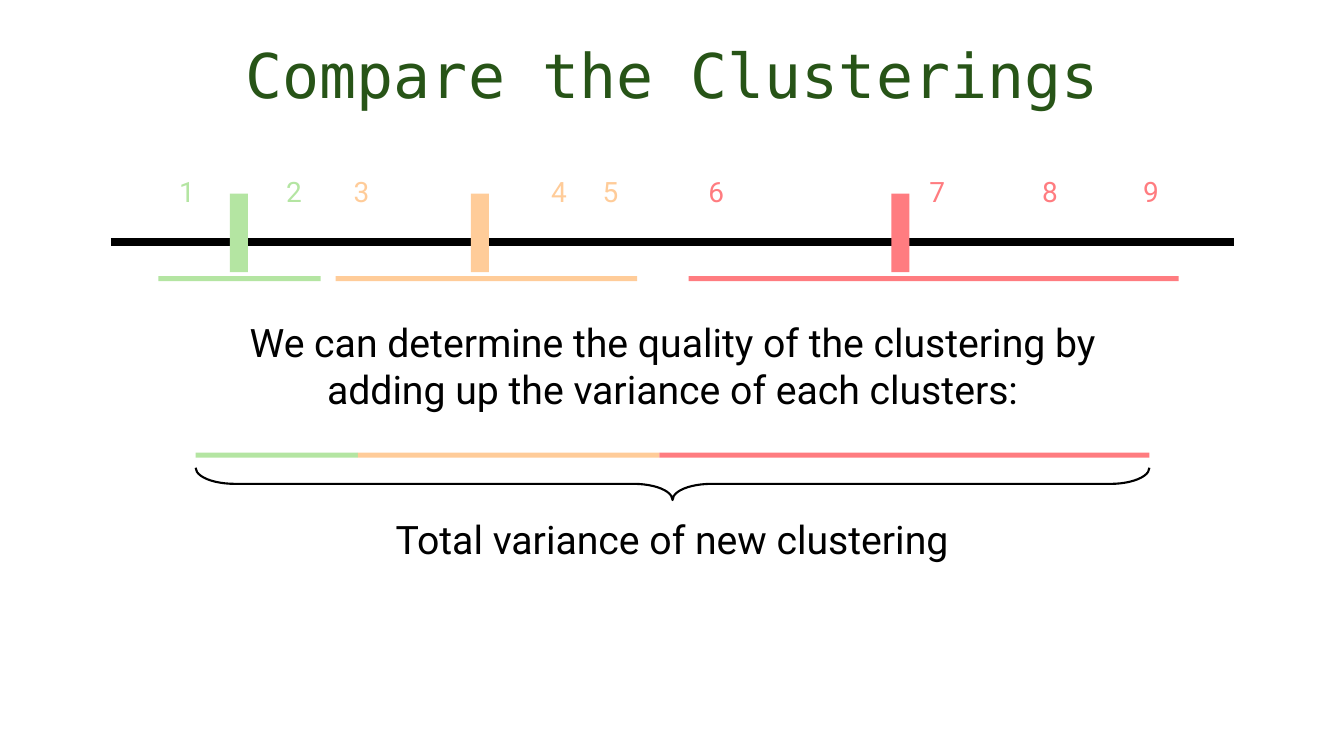
from pptx import Presentation
from pptx.dml.color import RGBColor
from pptx.enum.shapes import MSO_CONNECTOR, MSO_SHAPE
from pptx.enum.text import MSO_ANCHOR, MSO_AUTO_SIZE, PP_ALIGN
from pptx.oxml.ns import qn
from pptx.util import Pt
from lxml import etree

PX = 9144  # 100 px to the inch
RECTANGLE, BRACE = MSO_SHAPE.RECTANGLE, MSO_SHAPE.RIGHT_BRACE
STRAIGHT = MSO_CONNECTOR.STRAIGHT
CENTER, TOP, NO_FIT = PP_ALIGN.CENTER, MSO_ANCHOR.TOP, MSO_AUTO_SIZE.NONE

COLORS = {
    "green": "B4E5A2",
    "orange": "FFCC99",
    "red": "FF7C80",
    "title": "275417",
    "black": "000000",
}

prs = Presentation()
prs.slide_width, prs.slide_height = 1333 * PX, 750 * PX
slide = prs.slides.add_slide(prs.slide_layouts[5])
shapes = slide.shapes


def write(text, left, top, width, height, holder=None, size=28,
          font="Roboto", color="black", spacing=1.0):
    box = holder or shapes.add_textbox(0, 0, 0, 0)
    box.left, box.top = left * PX, top * PX
    box.width, box.height = width * PX, height * PX
    frame = box.text_frame
    frame.word_wrap = True
    frame.auto_size = NO_FIT
    frame.vertical_anchor = TOP
    paragraph = frame.paragraphs[0]
    paragraph.text = text
    paragraph.alignment = CENTER
    paragraph.line_spacing = spacing
    paragraph.font.size = Pt(size)
    paragraph.font.name = font
    paragraph.font.color.rgb = RGBColor.from_string(COLORS[color])


def add_bar(left, top, width, height, color):
    bar = shapes.add_shape(RECTANGLE, left * PX, top * PX, width * PX, height * PX)
    bar.shadow.inherit = False
    bar.fill.solid()
    bar.fill.fore_color.rgb = RGBColor.from_string(COLORS[color])
    bar.line.fill.background()


# Title
write("Compare the Clusterings", 92, 40, 1150, 145, holder=shapes.title,
      size=44, font="DejaVu Sans Mono", color="title", spacing=0.9)

# Number line
axis = shapes.add_connector(STRAIGHT, 110 * PX, 240 * PX, 1224 * PX, 240 * PX)
axis.line.color.rgb = RGBColor.from_string(COLORS["black"])
axis.line.width = Pt(6)
etree.SubElement(axis._element.spPr, qn("a:effectLst"))

# Clusters: color, left and width of the spread, left of the mean, point lefts
clusters = [
    ("green", 157, 161, 228, {"1": 158, "2": 264}),
    ("orange", 333, 299, 467, {"3": 331, "4": 527, "5": 578}),
    ("red", 683, 486, 884, {"6": 683, "7": 902, "8": 1014, "9": 1114}),
]
total_left = 194
total_right = total_left
for color, spread_left, spread_width, mean_left, points in clusters:
    for label, point_left in points.items():
        write(label, point_left, 168, 55, 44, size=20, color=color)
    add_bar(mean_left, 192, 18, 78, color)
    add_bar(spread_left, 274, spread_width, 5, color)
    # The same spread, laid end to end in the total
    add_bar(total_right, 449, spread_width, 5, color)
    total_right += spread_width

# Explanation
write("We can determine the quality of the clustering by adding up "
      "the variance of each clusters:", 191, 311, 952, 104)

# Brace under the total, turned to point down
brace_depth, brace_length = 32, total_right - total_left
brace_left = (total_left + total_right - brace_depth) // 2
brace_top = 480 - brace_length // 2
brace = shapes.add_shape(BRACE, brace_left * PX, brace_top * PX,
                         brace_depth * PX, brace_length * PX)
brace.rotation = 90
brace.adjustments[0] = 1.21
brace.adjustments[1] = 0.5
brace.shadow.inherit = False
brace.fill.background()
brace.line.color.rgb = RGBColor.from_string(COLORS["black"])
brace.line.width = Pt(1.5)
write("Total variance of new clustering", 356, 506, 621, 57)

prs.save("out.pptx")
